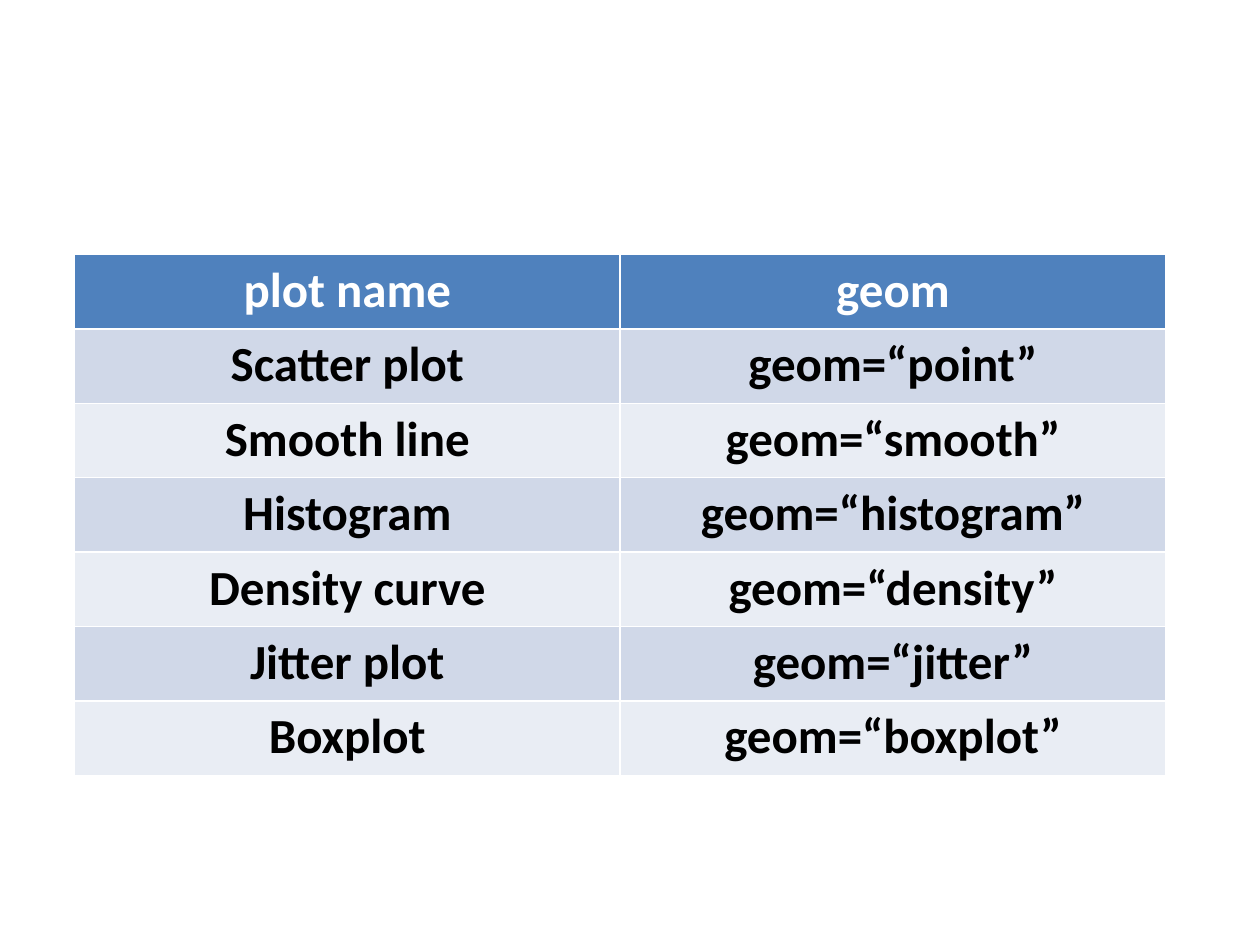
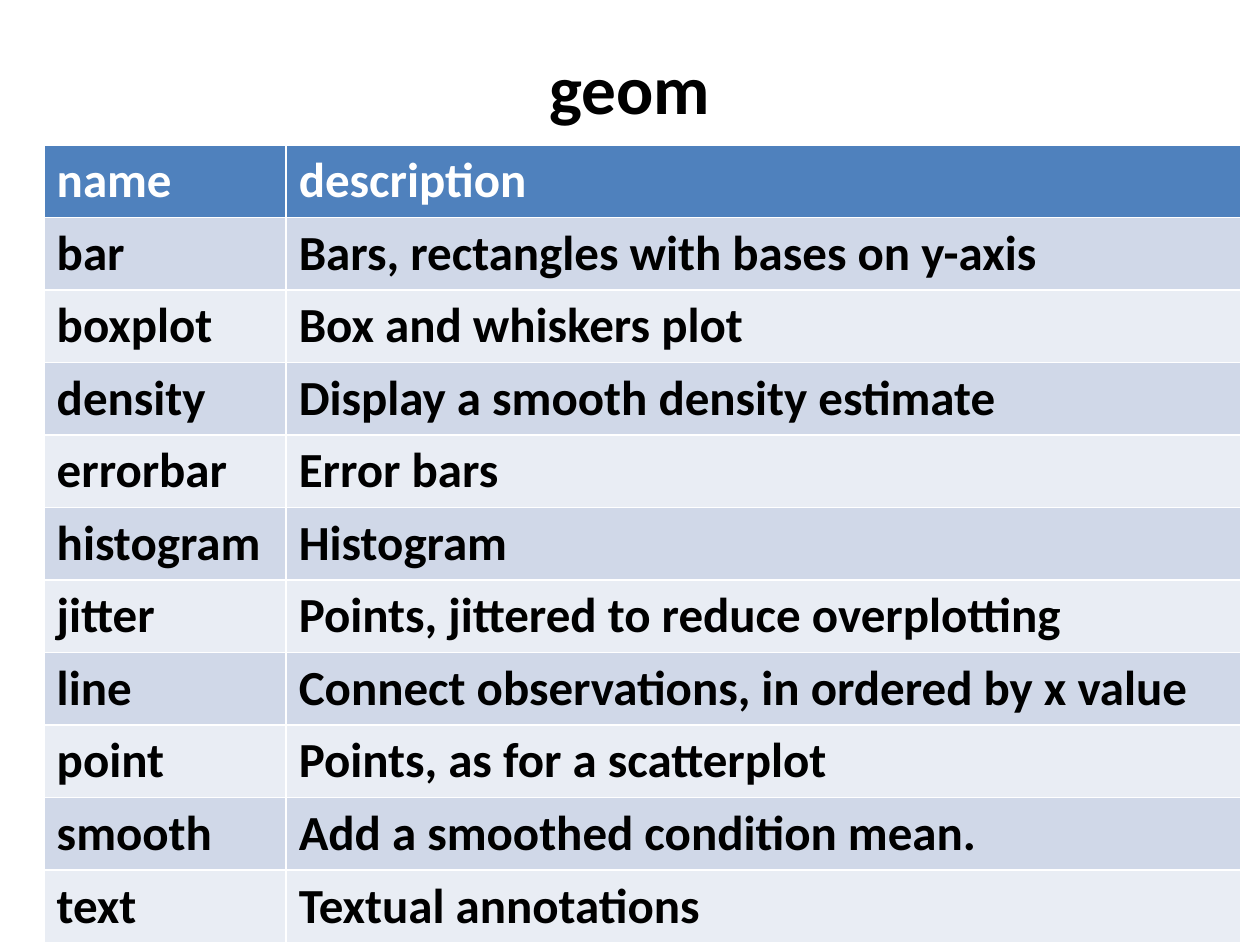
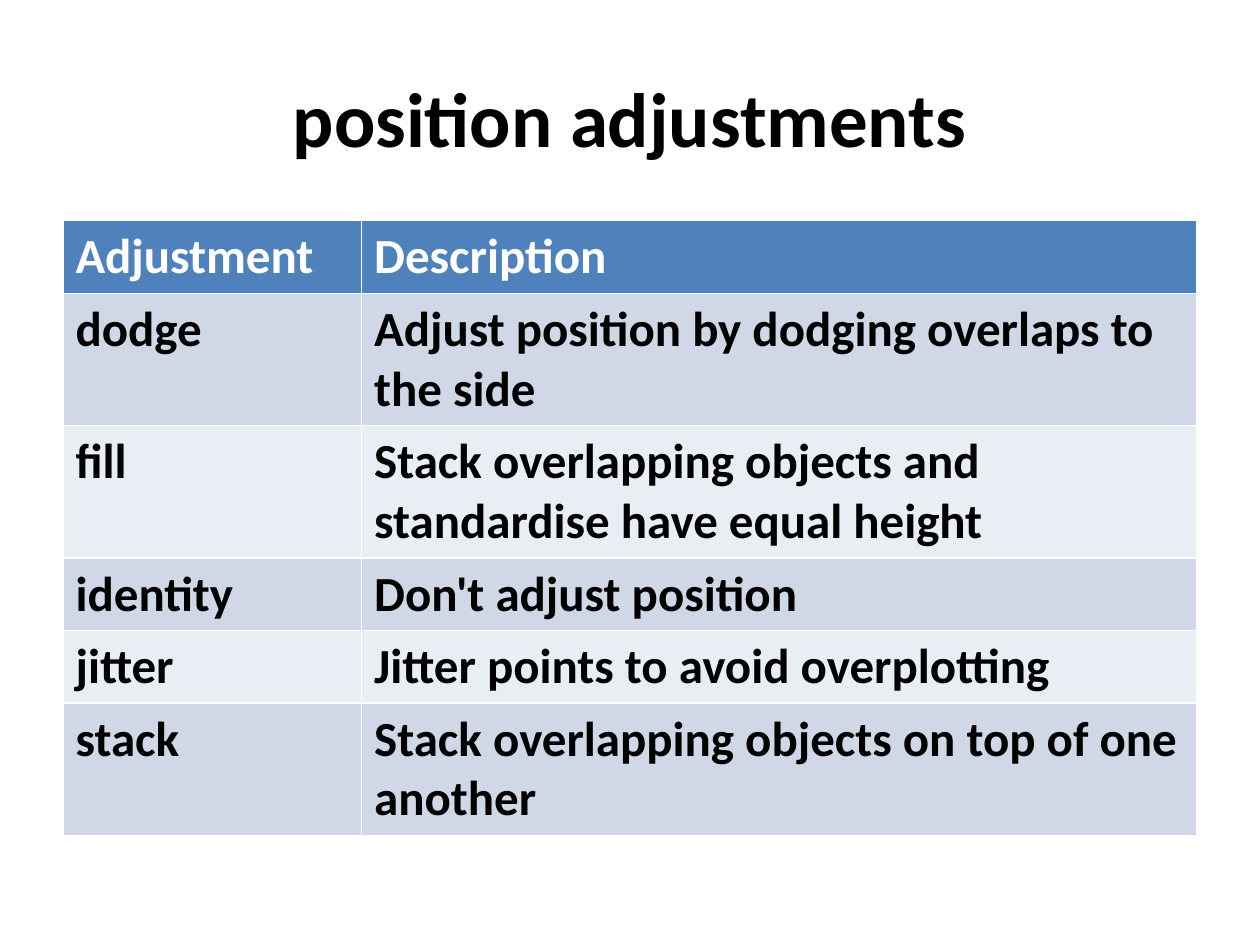
import pptx
import pptx.dml.color
import pptx.enum.text
import pptx.util

Cm = pptx.util.Cm
RGBColor = pptx.dml.color.RGBColor
Align = pptx.enum.text.PP_ALIGN

WHITE = RGBColor(0xFF, 0xFF, 0xFF)
BLACK = RGBColor(0x00, 0x00, 0x00)
HEADER_BLUE = RGBColor(0x4F, 0x81, 0xBD)
ROW_BANDS = (RGBColor(0xD0, 0xD8, 0xE8), RGBColor(0xE9, 0xED, 0xF4))

TITLE_ONLY_LAYOUT = 5
BLANK_LAYOUT = 6

PLOT_GEOMS = (
    ("plot name", "geom"),
    ("Scatter plot", "geom=“point”"),
    ("Smooth line", "geom=“smooth”"),
    ("Histogram", "geom=“histogram”"),
    ("Density curve", "geom=“density”"),
    ("Jitter plot", "geom=“jitter”"),
    ("Boxplot", "geom=“boxplot”"),
)
GEOM_DESCRIPTIONS = (
    ("name", "description"),
    ("bar", "Bars, rectangles with bases on y-axis"),
    ("boxplot", "Box and whiskers plot"),
    ("density", "Display a smooth density estimate"),
    ("errorbar", "Error bars"),
    ("histogram", "Histogram"),
    ("jitter", "Points, jittered to reduce overplotting"),
    ("line", "Connect observations, in ordered by x value"),
    ("point", "Points, as for a scatterplot"),
    ("smooth", "Add a smoothed condition mean."),
    ("text", "Textual annotations"),
)
POSITION_ADJUSTMENTS = (
    ("Adjustment", "Description"),
    ("dodge", "Adjust position by dodging overlaps to the side"),
    ("fill", "Stack overlapping objects and standardise have equal height"),
    ("identity", "Don't adjust position"),
    ("jitter", "Jitter points to avoid overplotting"),
    ("stack", "Stack overlapping objects on top of one another"),
)


class Deck:
    """Holds the shared style and the slide being filled."""

    font_name = "Calibri"
    table_size = 28

    def __init__(self):
        self.presentation = pptx.Presentation()
        self.presentation.slide_width = Cm(25.4)
        self.presentation.slide_height = Cm(19.05)
        self.slide = None

    def add_slide(self, layout):
        self.slide = self.presentation.slides.add_slide(
            self.presentation.slide_layouts[layout])

    def format_paragraph(self, paragraph, size, color, alignment):
        paragraph.alignment = alignment
        paragraph.font.name = self.font_name
        paragraph.font.size = pptx.util.Pt(size)
        paragraph.font.bold = True
        paragraph.font.color.rgb = color

    def add_title(self, text, height, size):
        title = self.slide.shapes.title
        title.left, title.top = Cm(1.27), Cm(0.76)
        title.width, title.height = Cm(22.86), Cm(height)
        frame = title.text_frame
        frame.text = text
        frame.auto_size = pptx.enum.text.MSO_AUTO_SIZE.NONE
        frame.vertical_anchor = pptx.enum.text.MSO_ANCHOR.MIDDLE
        self.format_paragraph(frame.paragraphs[0], size, BLACK, Align.CENTER)

    def add_table(self, rows, left, top, column_widths, height,
                  row_height=1.04, alignment=Align.LEFT):
        """Rows grow from row_height to fit their text; lengths are in cm."""
        shape = self.slide.shapes.add_table(
            len(rows), len(column_widths), Cm(left), Cm(top),
            Cm(sum(column_widths)), Cm(height))
        table = shape.table
        for column, width in zip(table.columns, column_widths):
            column.width = Cm(width)
        for row_index, texts in enumerate(rows):
            table.rows[row_index].height = Cm(row_height)
            is_header = row_index == 0
            fill = HEADER_BLUE if is_header else ROW_BANDS[(row_index - 1) % 2]
            color = WHITE if is_header else BLACK
            for cell, text in zip(table.rows[row_index].cells, texts):
                cell.text = text
                cell.fill.solid()
                cell.fill.fore_color.rgb = fill
                self.format_paragraph(cell.text_frame.paragraphs[0],
                                      self.table_size, color, alignment)
        shape.height = Cm(height)


def main():
    deck = Deck()

    deck.add_slide(BLANK_LAYOUT)
    deck.add_table(PLOT_GEOMS, 1.5, 5.13, (11, 11), 10.5,
                   row_height=1.5, alignment=Align.CENTER)

    deck.add_slide(TITLE_ONLY_LAYOUT)
    deck.add_title("geom", 1.96, 39.6)
    deck.add_table(GEOM_DESCRIPTIONS, 0.89, 2.92, (4.88, 19.25), 15.82)

    deck.add_slide(TITLE_ONLY_LAYOUT)
    deck.add_title("position adjustments", 3.18, 44)
    deck.add_table(POSITION_ADJUSTMENTS, 1.27, 4.45, (6.02, 16.84), 12.19)

    deck.presentation.save("out.pptx")


if __name__ == "__main__":
    main()
